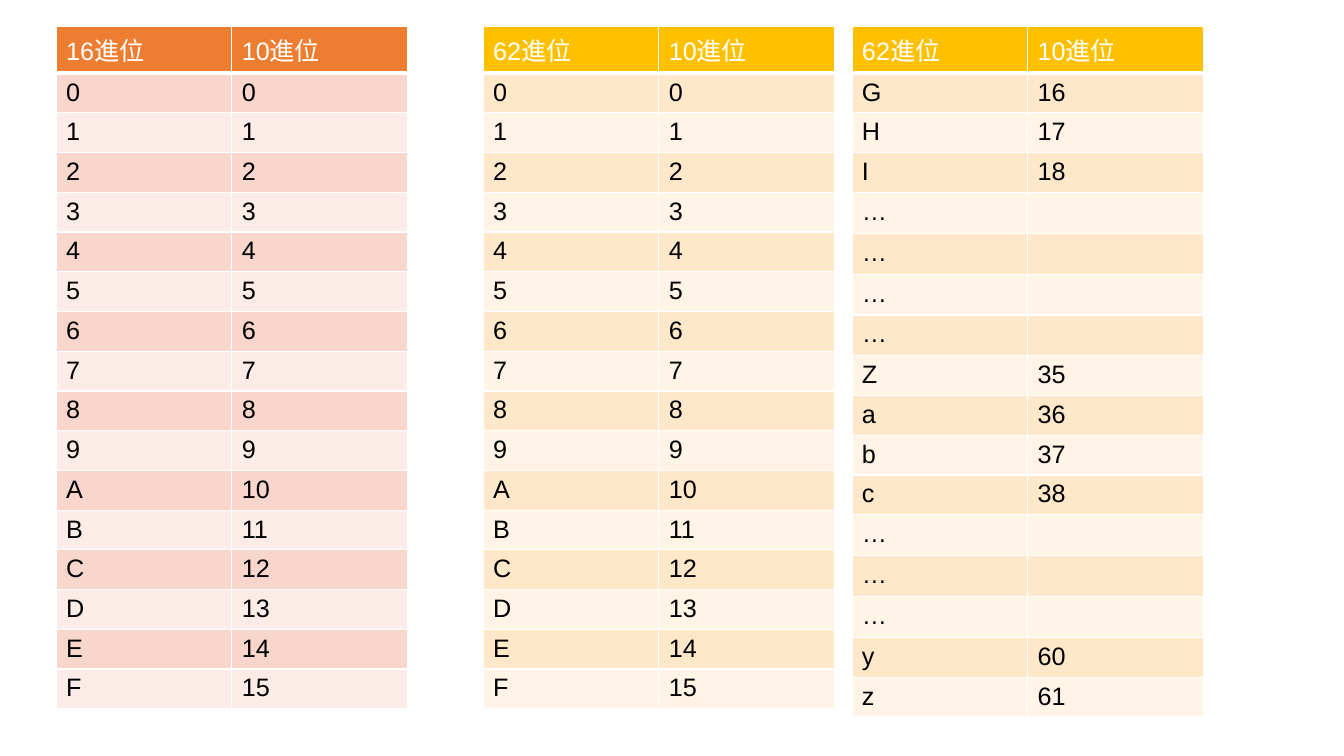
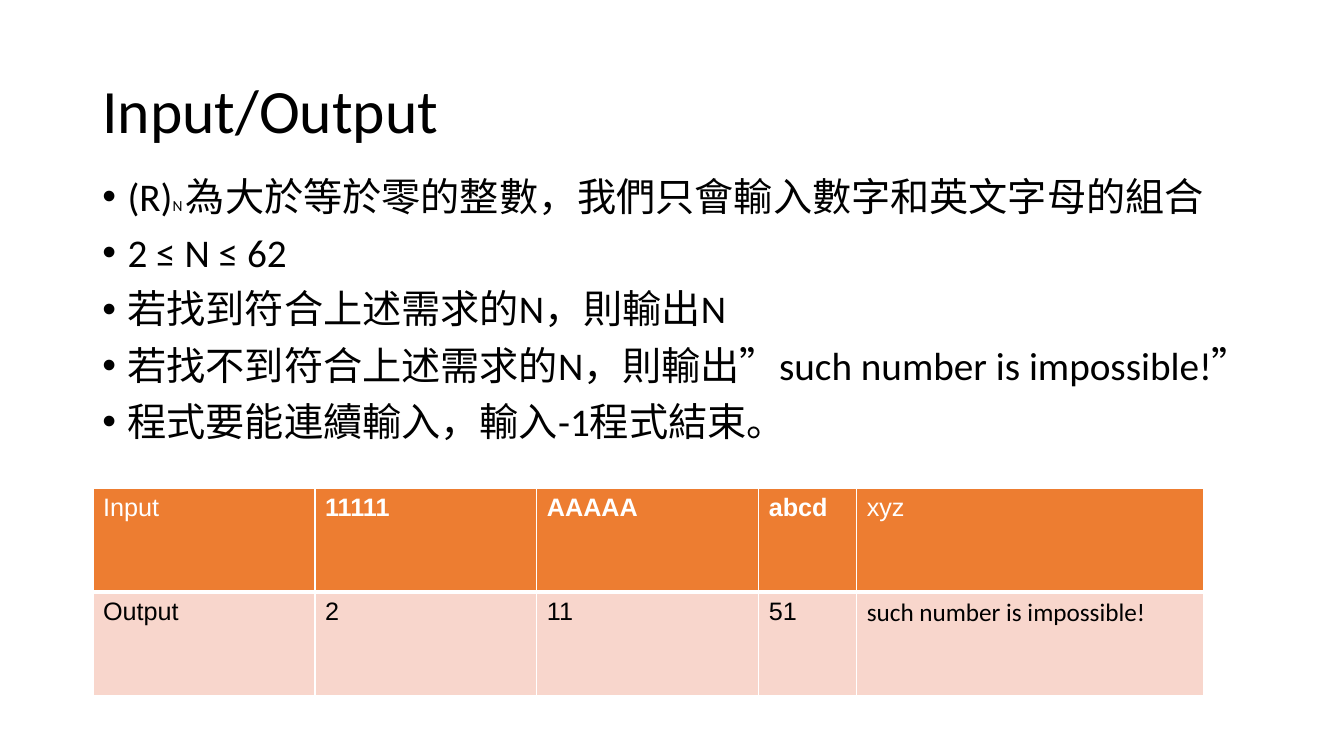
from dataclasses import dataclass

from lxml import etree
from pptx import Presentation
from pptx import util as u
from pptx.dml.color import RGBColor
from pptx.enum import text
from pptx.oxml import ns


@dataclass(frozen=True)
class Palette:
    header: str
    bands: tuple


@dataclass(frozen=True)
class Theme:
    white: str = "FFFFFF"
    ink: str = "000000"
    orange: Palette = Palette("ED7D31", ("F8D6CC", "FCECE7"))
    gold: Palette = Palette("FFC000", ("FFE8CA", "FFF4E6"))
    text_font: str = "Calibri"
    table_font: str = "Arial"
    title_size: float = 44
    body_size: float = 28
    table_size: float = 18
    subscript_size: float = 11
    line_spacing: float = 0.9
    thin: float = 1
    thick: float = 3


THEME = Theme()
DIGITS = "0123456789ABCDEFGHIJKLMNOPQRSTUVWXYZabcdefghijklmnopqrstuvwxyz"


def add_run(p, content, *, size, font, color=THEME.ink, bold=False):
    r = p.add_run()
    r.text = content
    r.font.size = u.Pt(size)
    r.font.name = font
    r.font.bold = bold
    r.font.color.rgb = RGBColor.from_string(color)


def add_bullet(p, indent):
    p_pr = p._p.get_or_add_pPr()
    p_pr.set("marL", str(u.Pt(indent)))
    p_pr.set("indent", str(-u.Pt(indent)))
    font = etree.SubElement(p_pr, ns.qn("a:buFont"))
    font.set("typeface", "Arial")
    etree.SubElement(p_pr, ns.qn("a:buChar")).set("char", "•")


def set_border(cell, side, width):
    """Draw one white cell side (L, R, T or B); call before filling the cell."""
    line = etree.SubElement(cell._tc.get_or_add_tcPr(), ns.qn(f"a:ln{side}"))
    line.set("w", str(u.Pt(width)))
    fill = etree.SubElement(line, ns.qn("a:solidFill"))
    etree.SubElement(fill, ns.qn("a:srgbClr")).set("val", THEME.white)


class Deck:
    def __init__(self, theme):
        self.theme = theme
        self.prs = Presentation()
        self.prs.slide_width = u.Pt(960)
        self.prs.slide_height = u.Pt(540)
        self.slide = None

    def new_slide(self):
        self.slide = self.prs.slides.add_slide(self.prs.slide_layouts[6])

    def text_box(self, left, top, width, height, anchor=text.MSO_ANCHOR.TOP):
        sp = self.slide.shapes.add_textbox(*map(u.Pt, (left, top, width, height)))
        tf = sp.text_frame
        tf.word_wrap = True
        tf.vertical_anchor = anchor
        return tf

    def title(self, content):
        tf = self.text_box(66, 29, 828, 104, text.MSO_ANCHOR.MIDDLE)
        p = tf.paragraphs[0]
        p.line_spacing = self.theme.line_spacing
        add_run(p, content, size=self.theme.title_size, font=self.theme.text_font)

    def bullets(self, items):
        """Each item is a list of (text, size) runs."""
        tf = self.text_box(66, 123, 888, 343)
        for i, runs in enumerate(items):
            p = tf.add_paragraph() if i else tf.paragraphs[0]
            p.line_spacing = self.theme.line_spacing
            p.space_before = u.Pt(10 if i else 0)
            add_bullet(p, 18)
            for content, size in runs:
                add_run(p, content, size=size, font=self.theme.text_font)

    def table(self, left, top, col_widths, row_height, rows, palette,
              bold_headers=(), fonts=None):
        """fonts maps a cell's text to a font other than the table's own."""
        t = self.theme
        frame = self.slide.shapes.add_table(
            len(rows), len(col_widths), u.Pt(left), u.Pt(top),
            u.Pt(sum(col_widths)), u.Pt(row_height * len(rows)))
        table = frame.table
        table.horz_banding = False
        for column, width in zip(table.columns, col_widths):
            column.width = u.Pt(width)
        for i, row in enumerate(rows):
            table.rows[i].height = u.Pt(row_height)
            fill = palette.bands[(i - 1) % 2] if i else palette.header
            widths = {"L": t.thin, "R": t.thin,
                      "T": t.thick if i == 1 else t.thin,
                      "B": t.thin if i else t.thick}
            for j, content in enumerate(row):
                cell = table.cell(i, j)
                for side, width in widths.items():
                    set_border(cell, side, width)
                cell.fill.solid()
                cell.fill.fore_color.rgb = RGBColor.from_string(fill)
                if content:
                    add_run(cell.text_frame.paragraphs[0], content,
                            size=t.table_size,
                            font=(fonts or {}).get(content, t.table_font),
                            color=t.ink if i else t.white,
                            bold=not i and content in bold_headers)


def digit_rows(base, symbols):
    values = ["" if s == "…" else str(DIGITS.index(s)) for s in symbols]
    return [(f"{base}進位", "10進位"), *zip(symbols, values)]


def digits_slide(deck):
    deck.new_slide()
    for left, base, symbols, palette in (
            (40, 16, DIGITS[:16], THEME.orange),
            (345, 62, DIGITS[:16], THEME.gold),
            (608.5, 62, "GHI…………Zabc………yz", THEME.gold)):
        deck.table(left, 19, [125.5] * 2, 28.4, digit_rows(base, symbols), palette)


def input_output_slide(deck):
    impossible = "such number is impossible!"
    size = THEME.body_size
    deck.new_slide()
    deck.title("Input/Output")
    deck.bullets([
        [("(R)", size), ("N ", THEME.subscript_size),
         ("為大於等於零的整數，我們只會輸入數字和英文字母的組合", size)],
        [("2 ≤ N ≤ 62", size)],
        [("若找到符合上述需求的N，則輸出N", size)],
        [(f"若找不到符合上述需求的N，則輸出”{impossible}”", size)],
        [("程式要能連續輸入，輸入-1程式結束。", size)],
    ])
    samples = ("11111", "AAAAA", "abcd")
    deck.table(66.5, 349, [158.5] * 3 + [70, 247.5], 74,
               [("Input", *samples, "xyz"),
                ("Output", "2", "11", "51", impossible)],
               THEME.orange, bold_headers=samples,
               fonts={impossible: THEME.text_font})


def main():
    deck = Deck(THEME)
    digits_slide(deck)
    input_output_slide(deck)
    deck.prs.save("out.pptx")


if __name__ == "__main__":
    main()
